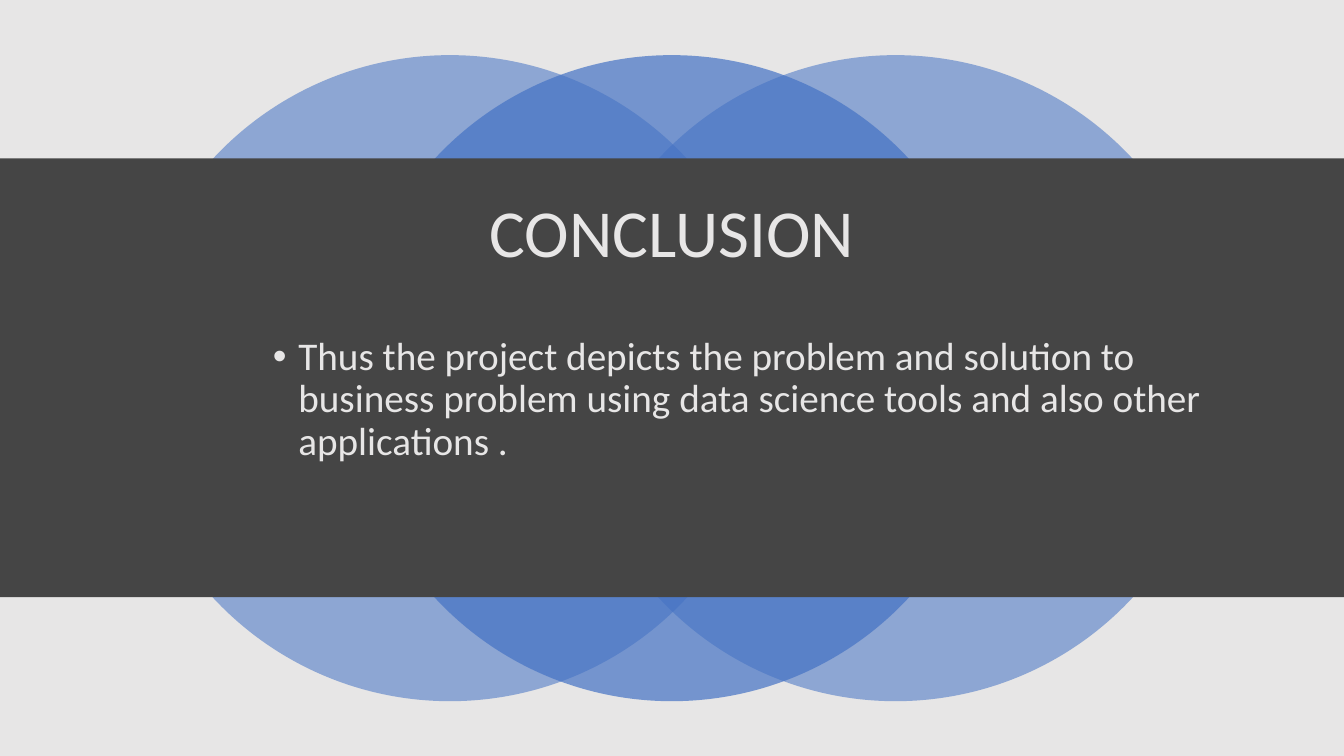
from lxml import etree
from pptx import Presentation
from pptx.dml.color import RGBColor
from pptx.enum import shapes, text
from pptx.oxml import ns
from pptx.util import Cm, Pt

LIGHT = RGBColor(0xE7, 0xE6, 0xE6)
DARK = RGBColor(0x45, 0x45, 0x45)
BLUE = RGBColor(0x44, 0x72, 0xC4)

WIDTH, HEIGHT = 33.87, 19.05
DIAMETER = 16.28


def add_figure(parent, kind, left, top, width, height, color, opacity=100):
    figure = parent.add_shape(kind, Cm(left), Cm(top), Cm(width), Cm(height))
    figure.shadow.inherit = False
    figure.fill.solid()
    figure.fill.fore_color.rgb = color
    figure.line.fill.background()
    if opacity < 100:
        color_node = figure.fill._xPr.find(".//" + ns.qn("a:srgbClr"))
        alpha = etree.SubElement(color_node, ns.qn("a:alpha"))
        alpha.set("val", str(opacity * 1000))


def add_text(page, words, left, top, width, height, size, align,
             anchor=text.MSO_ANCHOR.TOP, before=0, bullet=None, indent=0):
    box = page.shapes.add_textbox(Cm(left), Cm(top), Cm(width), Cm(height))
    frame = box.text_frame
    frame.word_wrap = True
    frame.vertical_anchor = anchor
    para = frame.paragraphs[0]
    para.alignment = align
    para.line_spacing = 0.9
    para.space_before = Pt(before)
    span = para.add_run()
    span.text = words
    span.font.name = "Calibri"
    span.font.size = Pt(size)
    span.font.color.rgb = LIGHT
    if bullet:
        props = para._p.get_or_add_pPr()
        props.set("marL", str(Cm(indent)))
        props.set("indent", str(-Cm(indent)))
        font = etree.SubElement(props, ns.qn("a:buFont"))
        font.set("typeface", "Arial")
        etree.SubElement(props, ns.qn("a:buChar")).set("char", bullet)


def main():
    deck = Presentation()
    deck.slide_width, deck.slide_height = Cm(WIDTH), Cm(HEIGHT)
    page = deck.slides.add_slide(deck.slide_layouts[6])
    page.background.fill.solid()
    page.background.fill.fore_color.rgb = DARK

    # Light backdrop
    rectangle = shapes.MSO_SHAPE.RECTANGLE
    add_figure(page.shapes, rectangle, 0, 0, WIDTH, HEIGHT, LIGHT)

    # Overlapping circles, the middle one in front
    circles = page.shapes.add_group_shape().shapes
    for left, opacity in ((3.2, 55), (14.43, 55), (8.79, 70)):
        add_figure(circles, shapes.MSO_SHAPE.OVAL, left, 1.39,
                   DIAMETER, DIAMETER, BLUE, opacity)

    # Dark band with title and body
    add_figure(page.shapes, rectangle, 0, 3.99, WIDTH, 11.06, DARK)
    add_text(page, "CONCLUSION", 2.33, 4.37, 29.21, 3.12, size=48,
             align=text.PP_ALIGN.CENTER, anchor=text.MSO_ANCHOR.MIDDLE)
    add_text(page, "Thus the project depicts the problem and solution to "
             "business problem using data science tools and also other "
             "applications .", 6.63, 8.36, 24.61, 5.87, size=28,
             align=text.PP_ALIGN.LEFT, before=10, bullet="•", indent=0.64)

    deck.save("out.pptx")


main()
